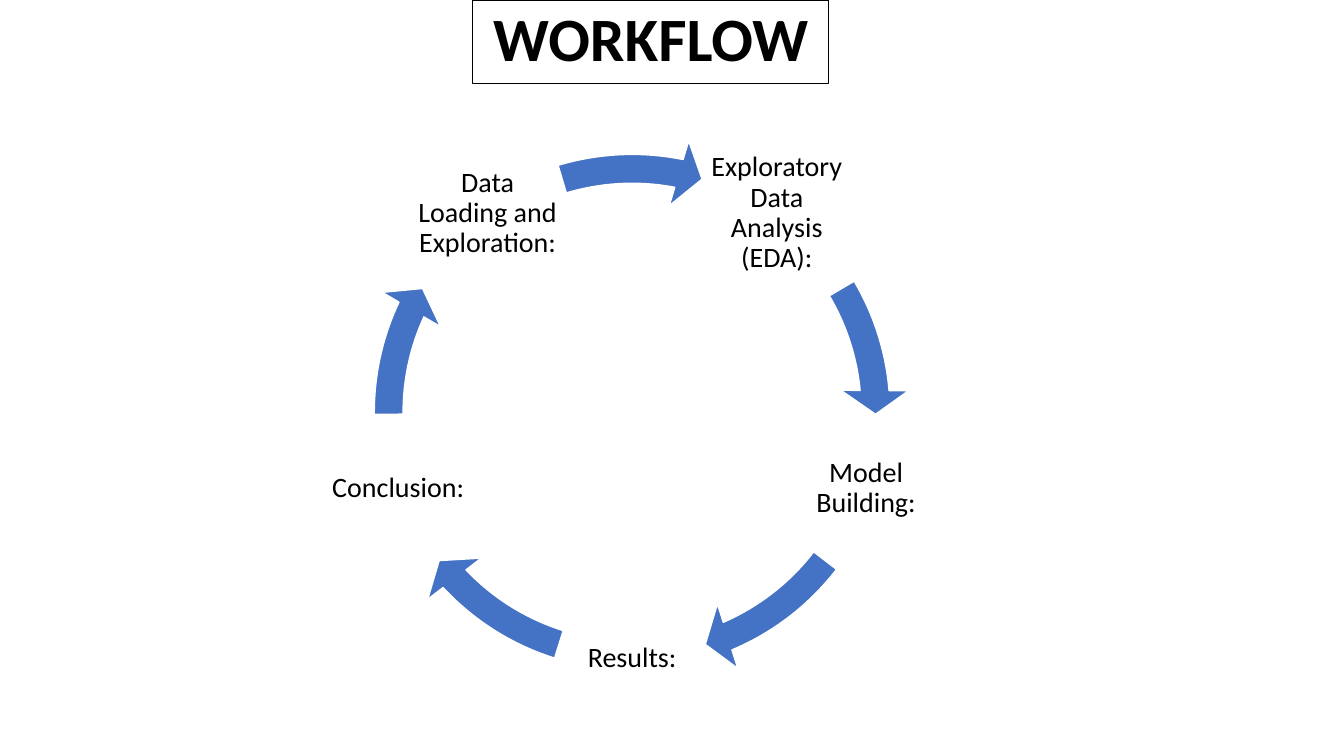
from math import cos, radians, sin

from pptx import Presentation
from pptx.dml.color import RGBColor
from pptx.enum.shapes import MSO_SHAPE
from pptx.enum.text import MSO_ANCHOR, PP_ALIGN
from pptx.util import Inches, Pt

TITLE = "WORKFLOW"
# Step label, then the start and end angle of the arrow that leaves it (degrees)
STEPS = [
    ("Exploratory Data Analysis (EDA):", 329.44, 354.88),
    ("Model Building:", 37.56, 66.91),
    ("Results:", 107.5, 136.84),
    ("Conclusion:", 179.52, 204.96),
    ("Data Loading and Exploration:", 253.31, 281.09),
]
FONT, BLACK, BLUE, WHITE = "Calibri", "000000", "4472C4", "FFFFFF"
CENTER_X, CENTER_Y = 6.27, 4.09
RING_RADIUS = 2.44
ARROW_SIZE, LABEL_SIZE = 5.5, 1.47
FIRST_ANGLE = -54
ARROW_THICKNESS, HEAD_WIDTH, HEAD_ANGLE = 0.052, 0.061, 5.6
DEGREE = 0.6  # adjustment units in one degree


def color(hex_text):
    return RGBColor.from_string(hex_text)


def square(center_x, center_y, size):
    """Left, top, width and height of a square around a centre."""
    return [Inches(value) for value in
            (center_x - size / 2, center_y - size / 2, size, size)]


def write(frame, text, size, bold=False):
    frame.text = text
    frame.word_wrap = True
    frame.vertical_anchor = MSO_ANCHOR.MIDDLE
    para = frame.paragraphs[0]
    para.alignment = PP_ALIGN.CENTER
    para.line_spacing = 0.9
    font = para.runs[0].font
    font.name, font.size, font.bold = FONT, Pt(size), bold
    font.color.rgb = color(BLACK)


def add_title(page):
    title = page.shapes.title
    title.left, title.top = Inches(4.69), 0
    title.width, title.height = Inches(3.53), Inches(0.83)
    title.line.color.rgb = color(BLACK)
    title.line.width = Pt(0.75)
    write(title.text_frame, TITLE, 44, bold=True)


def add_label(page, text, angle):
    center_x = CENTER_X + RING_RADIUS * cos(radians(angle))
    center_y = CENTER_Y + RING_RADIUS * sin(radians(angle))
    box = page.shapes.add_textbox(*square(center_x, center_y, LABEL_SIZE))
    frame = box.text_frame
    frame.margin_left = frame.margin_right = Inches(0.03)
    frame.margin_top = frame.margin_bottom = Inches(0.03)
    write(frame, text, 20)


def add_arrow(page, start, end):
    arrow = page.shapes.add_shape(
        MSO_SHAPE.CIRCULAR_ARROW, *square(CENTER_X, CENTER_Y, ARROW_SIZE))
    settings = (ARROW_THICKNESS, HEAD_ANGLE * DEGREE, end * DEGREE,
                start * DEGREE, HEAD_WIDTH)
    for index, value in enumerate(settings):
        arrow.adjustments[index] = value
    arrow.shadow.inherit = False
    arrow.fill.solid()
    arrow.fill.fore_color.rgb = color(BLUE)
    arrow.line.color.rgb = color(WHITE)
    arrow.line.width = Pt(1)


def main():
    deck = Presentation()
    deck.slide_width, deck.slide_height = Inches(13.33), Inches(7.5)
    page = deck.slides.add_slide(deck.slide_layouts.get_by_name("Title Only"))
    add_title(page)
    for index, (text, start, end) in enumerate(STEPS):
        add_label(page, text, FIRST_ANGLE + index * 360 / len(STEPS))
        add_arrow(page, start, end)
    deck.save("out.pptx")


if __name__ == "__main__":
    main()
